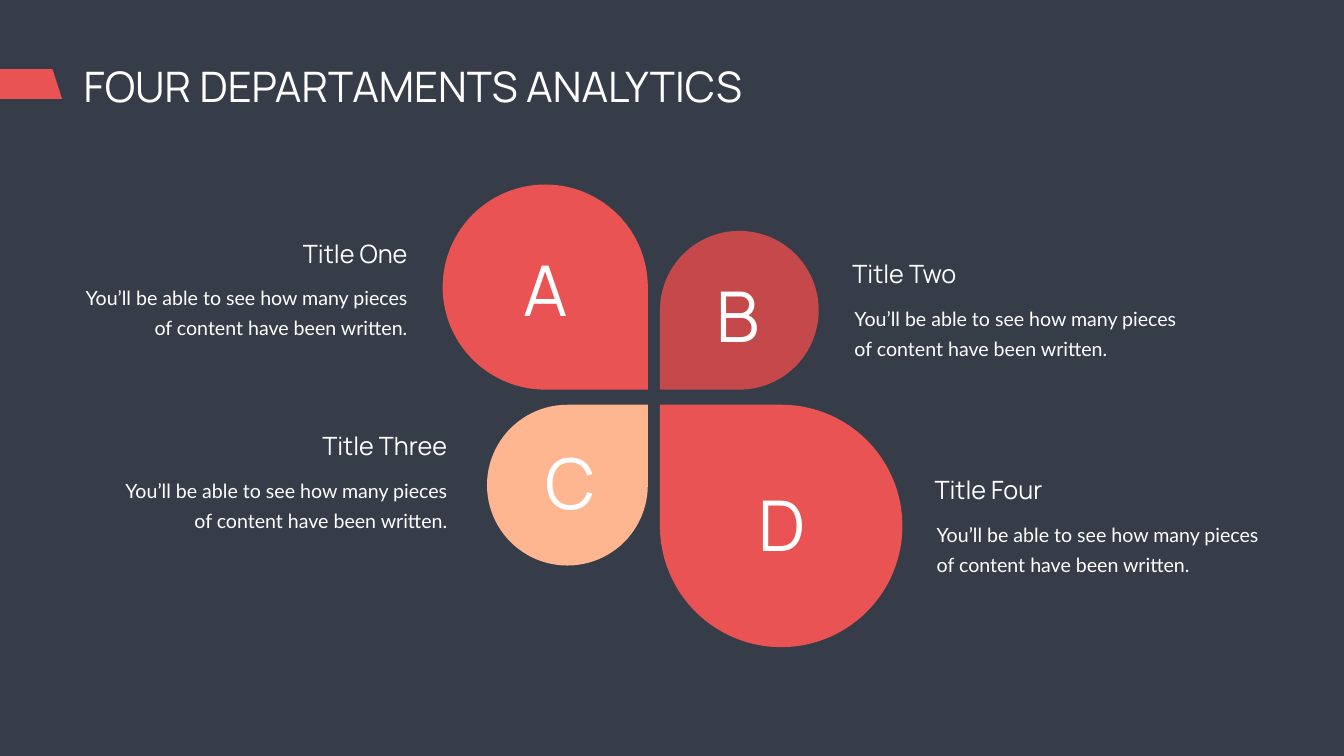
from pptx import Presentation
from pptx.dml.color import RGBColor
from pptx.enum.shapes import MSO_SHAPE as SHAPE
from pptx.enum.text import MSO_ANCHOR as ANCHOR, MSO_AUTO_SIZE as AUTO, PP_ALIGN as ALIGN
from pptx.util import Pt

WHITE, RED, DARK = "FFFFFF", "E95354", "363D48"
BODY = "You’ll be able to see how many pieces of content have been written."
LEFT_TIP, RIGHT_TIP = 925.2, 942.5
TOP_TIP, BOTTOM_TIP = 556.6, 578.2


def rgb(value):
    return RGBColor.from_string(value)


def paint(sp, color):
    sp.shadow.inherit = False
    sp.fill.solid()
    sp.fill.fore_color.rgb = rgb(color)
    sp.line.fill.background()


def write(sp, text, font, size, align=ALIGN.LEFT, inset=(7.2, 3.6)):
    tf = sp.text_frame
    tf.word_wrap = True
    tf.auto_size = AUTO.NONE
    tf.vertical_anchor = ANCHOR.TOP
    tf.margin_left = tf.margin_right = Pt(inset[0])
    tf.margin_top = tf.margin_bottom = Pt(inset[1])
    p = tf.paragraphs[0]
    p.text = text
    p.alignment = align
    p.font.name, p.font.size = font, Pt(size)
    p.font.color.rgb = rgb(WHITE)
    return p


def add_text(slide, x, y, w, h, *args, **kwargs):
    sp = slide.shapes.add_textbox(Pt(x), Pt(y), Pt(w), Pt(h))
    return write(sp, *args, **kwargs)


def add_header(slide, x, y, w, h):
    title = slide.shapes.title
    title.left, title.top = Pt(x + 112.3), Pt(y)
    title.width, title.height = Pt(w - 112.3), Pt(h)
    p = write(title, "FOUR DEPARTAMENTS ANALYTICS", "Manrope", 60)
    p.line_spacing = 1.0

    top, bottom = y + 15.1, y + 57.6
    builder = slide.shapes.build_freeform(Pt(x + 74.9), Pt(top))
    corners = [(x, top), (x, bottom), (x + 88.6, bottom)]
    builder.add_line_segments([(Pt(cx), Pt(cy)) for cx, cy in corners])
    paint(builder.convert_to_shape(), RED)


def add_petal(slide, x, y, size, rotation, color, letter, dx, dy):
    sp = slide.shapes.add_shape(SHAPE.TEAR, Pt(x), Pt(y), Pt(size), Pt(size))
    sp.rotation = rotation
    paint(sp, color)
    w, h = 123, 128
    add_text(slide, x + (size - w) / 2 + dx, y + (size - h) / 2 + dy, w, h,
             letter, "Manrope", 100, ALIGN.CENTER)


def add_caption(slide, x, y, w, title, align):
    title_w = 298
    title_x = x + w - title_w - 10 if align == ALIGN.RIGHT else x + 7.2
    add_text(slide, title_x, y, title_w, 51, title, "Manrope", 36, align)
    p = add_text(slide, x, y + 54.5, w, 100, BODY, "Lato", 28, align, inset=(17.3, 8.6))
    p.line_spacing = Pt(43)


def main():
    prs = Presentation()
    prs.slide_width, prs.slide_height = Pt(1919.5), Pt(1080)
    slide = prs.slides.add_slide(prs.slide_layouts[5])
    slide.background.fill.solid()
    slide.background.fill.fore_color.rgb = rgb(DARK)
    add_header(slide, 0, 83.5, 1170, 80)

    departments = [
        ("A", "Title One", 293, 90, RED, (0, 3), (101.5, 336.2)),
        ("B", "Title Two", 226.8, 180, "C5494B", (-2, 6), (1203.1, 365.8)),
        ("C", "Title Three", 229.7, 0, "FEB691", (4, -5), (158.4, 611.3)),
        ("D", "Title Four", 346.3, 270, "E95353", (1.5, -3), (1320.5, 673.9)),
    ]
    for i, (letter, title, size, rotation, color, nudge, caption) in enumerate(departments):
        row, col = divmod(i, 2)
        x = RIGHT_TIP if col else LEFT_TIP - size
        y = BOTTOM_TIP if row else TOP_TIP - size
        add_petal(slide, x, y, size, rotation, color, letter, *nudge)
        add_caption(slide, *caption, 497.5, title, ALIGN.LEFT if col else ALIGN.RIGHT)

    prs.save("out.pptx")


if __name__ == "__main__":
    main()
